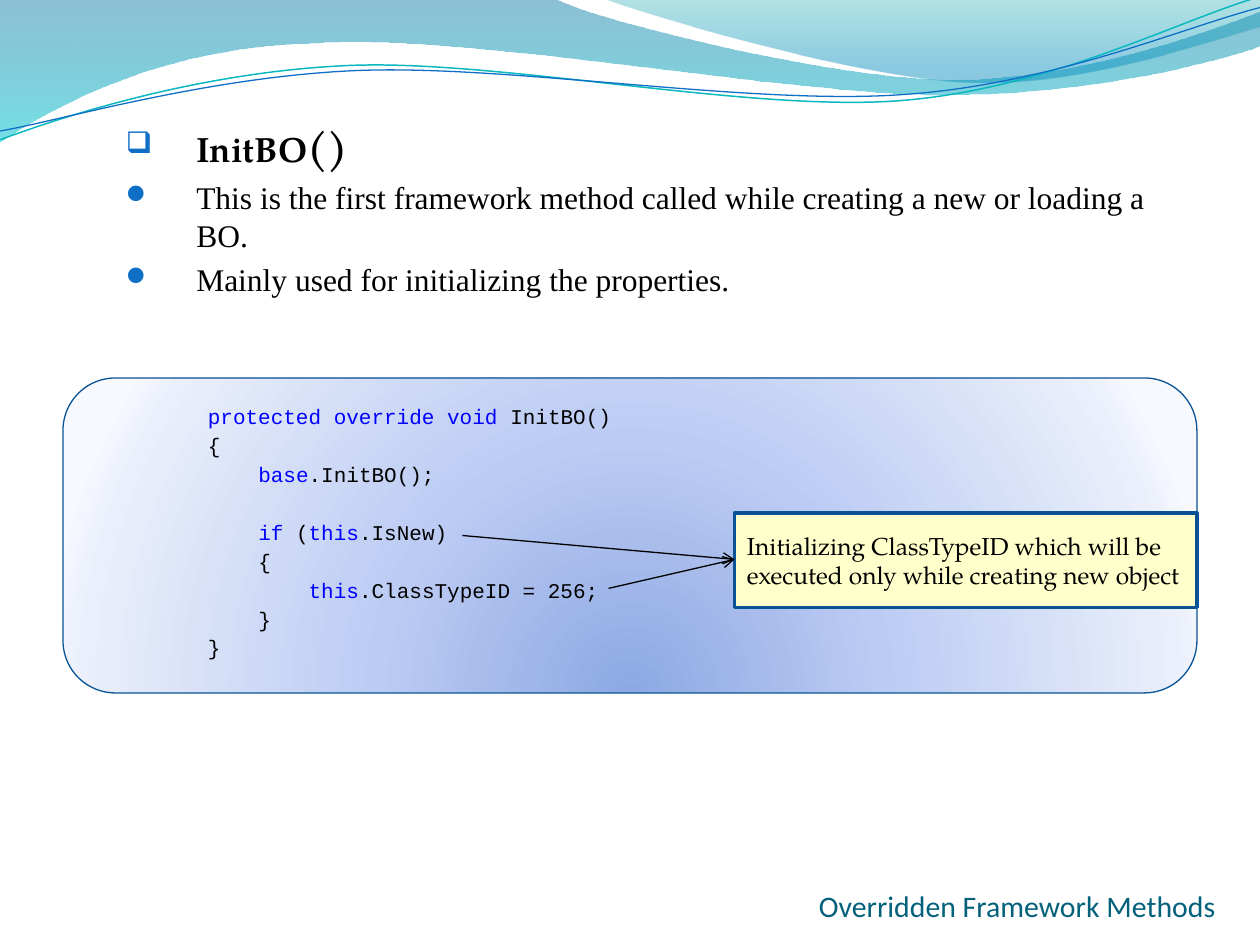
from dataclasses import dataclass
from math import cos, radians, sin

from lxml import etree
from pptx import Presentation
from pptx.dml.color import RGBColor
from pptx.enum.shapes import MSO_CONNECTOR, MSO_SHAPE
from pptx.enum.text import MSO_ANCHOR, PP_ALIGN
from pptx.oxml.ns import qn
from pptx.util import Inches, Pt

LEFT, TOP, MIDDLE = PP_ALIGN.LEFT, MSO_ANCHOR.TOP, MSO_ANCHOR.MIDDLE
ROUNDED, RECTANGLE = MSO_SHAPE.ROUNDED_RECTANGLE, MSO_SHAPE.RECTANGLE
STRAIGHT = MSO_CONNECTOR.STRAIGHT


@dataclass(frozen=True)
class Theme:
    """Colours, fonts and type sizes of the slide."""
    ink: RGBColor = RGBColor.from_string("000000")
    keyword: RGBColor = RGBColor.from_string("0000FF")
    border: RGBColor = RGBColor.from_string("095295")
    note: RGBColor = RGBColor.from_string("FFFFCC")
    teal: RGBColor = RGBColor.from_string("0AB8BF")
    blue: RGBColor = RGBColor.from_string("0F6FC6")
    footer: RGBColor = RGBColor.from_string("04617B")
    display: str = "TeX Gyre Pagella"
    body: str = "Times New Roman"
    code: str = "Courier New"
    sans: str = "Calibri"
    code_size: Pt = Pt(12)
    note_size: Pt = Pt(14)
    footer_size: Pt = Pt(17)
    body_size: Pt = Pt(18)
    heading_size: Pt = Pt(20)
    bracket_size: Pt = Pt(24)


theme = Theme()


def add_wave(page, steps, closed, tilt=0, centre=(0, 0)):
    """Add a freeform of points (2 numbers) and Bezier curves (6), tilted in degrees."""
    c, s = cos(radians(tilt)), sin(radians(tilt))
    level_steps = []
    for step in steps:
        offsets = [(x - centre[0], y - centre[1]) for x, y in zip(step[::2], step[1::2])]
        level_steps.append([(Inches(centre[0] + x * c + y * s),
                             Inches(centre[1] - x * s + y * c)) for x, y in offsets])
    builder = page.shapes.build_freeform(*level_steps[0][0], scale=1.0)
    builder.add_line_segments([step[-1] for step in level_steps[1:]], close=closed)
    wave = builder.convert_to_shape()
    segments = list(wave.element.spPr.iter(qn("a:lnTo")))
    for segment, step in zip(segments, level_steps[1:]):
        if len(step) == 3:
            curve = etree.Element(qn("a:cubicBezTo"))
            for x, y in step:
                etree.SubElement(curve, qn("a:pt"), x=str(x - wave.left), y=str(y - wave.top))
            segment.getparent().replace(segment, curve)
    wave.rotation = tilt
    wave.shadow.inherit = False
    wave.fill.background()
    wave.line.fill.background()
    return wave


def set_gradient(shape, stops, centre=None):
    """Fill with (position, colour, opacity) stops, downwards or round a centre."""
    shape.fill.background()
    blank = shape.element.spPr.find(qn("a:noFill"))
    gradient = etree.Element(qn("a:gradFill"), rotWithShape="1")
    stop_list = etree.SubElement(gradient, qn("a:gsLst"))
    for position, colour, opacity in stops:
        stop = etree.SubElement(stop_list, qn("a:gs"), pos=str(position * 1000))
        paint = etree.SubElement(stop, qn("a:srgbClr"), val=colour)
        if opacity < 100:
            etree.SubElement(paint, qn("a:alpha"), val=str(opacity * 1000))
    if centre:
        sides = {side: str(share * 1000) for side, share in zip("ltrb", centre)}
        circle = etree.SubElement(gradient, qn("a:path"), path="circle")
        etree.SubElement(circle, qn("a:fillToRect"), **sides)
    else:
        etree.SubElement(gradient, qn("a:lin"), ang="5400000", scaled="1")
    blank.getparent().replace(blank, gradient)


deck = Presentation()
deck.slide_width, deck.slide_height = Inches(10), Inches(7.5)
page = deck.slides.add_slide(deck.slide_layouts[6])

# Wave header
bands = [
    ([(0, 0), (4.4, -0.01), (4.76, 0.17, 6.64, 0.63, 7.58, 0.63),
      (8.53, 0.63, 9.58, 0.26, 10, 0.09), (10.01, 0.36),
      (9.83, 0.44, 8.7, 0.76, 7.46, 0.75), (6.22, 0.75, 3.82, 0.28, 2.57, 0.34),
      (1.29, 0.36, 0.46, 0.83, -0.01, 1.13)],
     [(0, "0074A1", 45), (100, "00C6CF", 55)]),
    ([(4.79, -0.01), (5.09, 0.11, 6.82, 0.62, 7.69, 0.65),
      (8.56, 0.69, 9.61, 0.32, 10, 0.21), (10, 0)],
     [(0, "00A1A9", 30), (80, "008BBF", 45)]),
]
for steps, stops in bands:
    set_gradient(add_wave(page, steps, True), stops)

strands = [
    ([(0, 1.11), (0.48, 0.93, 1.58, 0.57, 2.77, 0.52),
      (3.95, 0.47, 5.93, 0.89, 7.13, 0.8), (8.33, 0.71, 9.38, 0.15, 9.98, -0.02)],
     theme.teal, 0.85),
    ([(0, 1.04), (0.47, 0.96, 1.64, 0.61, 2.83, 0.56),
      (4.03, 0.51, 5.97, 0.84, 7.17, 0.75), (8.36, 0.67, 9.41, 0.21, 10, 0.06)],
     theme.blue, 0.75),
]
for steps, colour, width in strands:
    strand = add_wave(page, steps, False, tilt=-2.7, centre=(4.99, 0.58))
    strand.line.color.rgb, strand.line.width = colour, Pt(width)

# Code panel
panel = page.shapes.add_shape(ROUNDED, Inches(0.5), Inches(3), Inches(9), Inches(2.5))
panel.shadow.inherit = False
panel.line.color.rgb, panel.line.width = theme.border, Pt(0.75)
set_gradient(panel, [(0, "8DA8E3", 100), (43, "BBCBF3", 100), (93, "EAEFFB", 100),
                     (100, "F7F9FF", 100)], centre=(50, 130, 50, -30))
panel.text_frame.vertical_anchor = TOP
panel.text_frame.word_wrap = True
line_pitch = 16.55
# Nesting level, blank lines above, spans with keywords marked True
code_lines = [
    (0, 0, [("protected override void", True), (" InitBO()", False)]),
    (0, 0, [("{", False)]),
    (1, 0, [("base", True), (".InitBO();", False)]),
    (1, 1, [("if", True), (" (", False), ("this", True), (".IsNew)", False)]),
    (1, 0, [("{", False)]),
    (2, 0, [("this", True), (".ClassTypeID = 256;", False)]),
    (1, 0, [("}", False)]),
    (0, 0, [("}", False)]),
]
for i, (level, blanks, spans) in enumerate(code_lines):
    para = panel.text_frame.add_paragraph() if i else panel.text_frame.paragraphs[0]
    para.alignment = LEFT
    para.line_spacing = Pt(line_pitch)
    para.space_before = Pt(blanks * line_pitch)
    para.font.name, para.font.size = theme.code, theme.code_size
    para._p.get_or_add_pPr().set("marL", str(Inches(0.93 + 0.4 * level)))
    for text, is_keyword in spans:
        span = para.add_run()
        span.text = text
        span.font.color.rgb = theme.keyword if is_keyword else theme.ink

# Bulleted text
body = page.shapes.add_textbox(Inches(0.5), Inches(0.91), Inches(9), Inches(1.6))
body.text_frame.word_wrap = True
bullets = [
    ("Wingdings", "q", "InitBO"),
    ("Wingdings 2", "\uf097",
     "This is the first framework method called while creating a new or loading a BO."),
    ("Wingdings 2", "\uf097", "Mainly used for initializing the properties."),
]
for i, (symbols, mark, text) in enumerate(bullets):
    para = body.text_frame.add_paragraph() if i else body.text_frame.paragraphs[0]
    para.text = text
    para.font.color.rgb = theme.ink
    para.font.name = theme.body if i else theme.display
    para.font.size = theme.body_size if i else theme.heading_size
    para.font.bold = i == 0
    if i:
        para.space_before, para.line_spacing = Pt(3.6), Pt(21.7)
    else:
        brackets = para.add_run()
        brackets.text, brackets.font.size = "()", theme.bracket_size
    settings = para._p.get_or_add_pPr()
    settings.set("marL", str(Inches(0.96)))
    settings.set("indent", str(Inches(-0.56)))
    bullet_parts = [etree.Element(qn("a:buClr")),
                    etree.Element(qn("a:buSzPct"), val="85000"),
                    etree.Element(qn("a:buFont"), typeface=symbols, charset="2"),
                    etree.Element(qn("a:buChar"), char=mark)]
    etree.SubElement(bullet_parts[0], qn("a:srgbClr"), val=str(theme.blue))
    for part in bullet_parts:
        settings.find(qn("a:defRPr")).addprevious(part)

# Note with its two arrows
note = page.shapes.add_shape(RECTANGLE, Inches(5.83), Inches(4.07), Inches(3.67), Inches(0.75))
note.shadow.inherit = False
note.fill.solid()
note.fill.fore_color.rgb = theme.note
note.line.color.rgb, note.line.width = theme.border, Pt(2)
note.text_frame.word_wrap = True
note.text_frame.vertical_anchor = MIDDLE
para = note.text_frame.paragraphs[0]
para.text = "Initializing ClassTypeID which will be executed only while creating new object"
para.alignment = LEFT
para.font.name, para.font.size = theme.display, theme.note_size
para.font.color.rgb = theme.ink

for x, y in [(3.67, 4.25), (4.83, 4.67)]:
    arrow = page.shapes.add_connector(STRAIGHT, Inches(x), Inches(y), Inches(5.83), Inches(4.44))
    arrow.line.color.rgb, arrow.line.width = theme.ink, Pt(0.75)
    properties = arrow.element.spPr
    etree.SubElement(properties.find(qn("a:ln")), qn("a:tailEnd"), type="arrow")
    etree.SubElement(properties, qn("a:effectLst"))

# Footer
footer = page.shapes.add_textbox(Inches(6.5), Inches(7), Inches(3.5), Inches(0.5))
frame = footer.text_frame
frame.word_wrap = True
frame.margin_left = frame.margin_right = frame.margin_bottom = 0
para = frame.paragraphs[0]
para.text = "Overridden Framework Methods"
para.font.name, para.font.size = theme.sans, theme.footer_size
para.font.color.rgb = theme.footer

deck.save("out.pptx")
